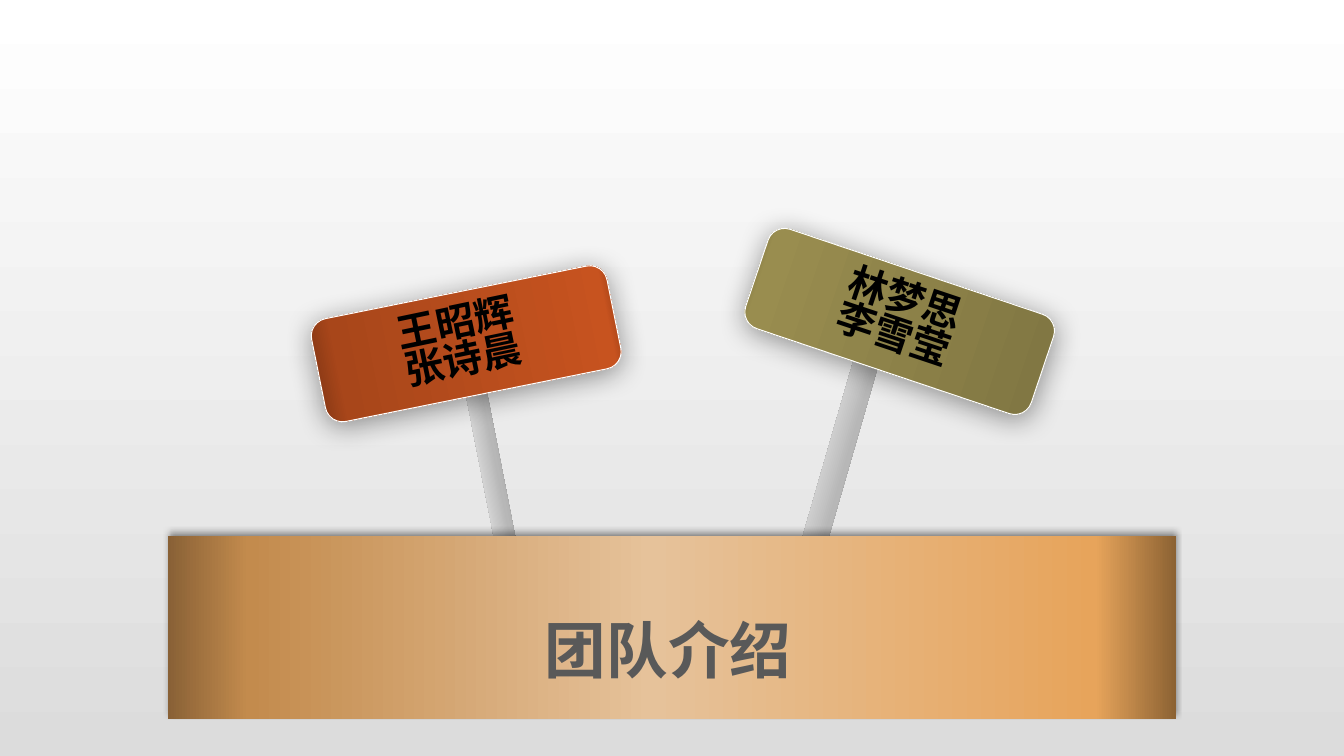
from pptx import Presentation
from pptx.dml.color import RGBColor
from pptx.enum.shapes import MSO_SHAPE
from pptx.enum.text import MSO_ANCHOR, MSO_AUTO_SIZE, PP_ALIGN
from pptx.oxml import parse_xml
from pptx.oxml.ns import nsdecls, qn
from pptx.util import Pt

ROUND, RECT = MSO_SHAPE.ROUNDED_RECTANGLE, MSO_SHAPE.RECTANGLE
TOP, CENTER = MSO_ANCHOR.TOP, PP_ALIGN.CENTER
GROW = MSO_AUTO_SIZE.SHAPE_TO_FIT_TEXT

WHITE = RGBColor(0xFF, 0xFF, 0xFF)
BLACK = RGBColor(0, 0, 0)
PALE = RGBColor(0xDC, 0xDC, 0xDC)
GRAY = RGBColor(0x59, 0x59, 0x59)


def ramp(*stops):
    """Turn (percent, hex) pairs into gradient stops."""
    return [(pos, RGBColor.from_string(tint)) for pos, tint in stops]


STEEL = ramp((0, "808080"), (45, "B7B7B7"), (62, "D9D9D9"), (100, "878787"))
RUST = ramp((0, "763112"), (12, "A8461A"), (92, "C7531F"), (100, "79300E"))
OLIVE = ramp((0, "5A542F"), (7, "817743"), (90, "998D4F"), (100, "5B532C"))
WOOD = ramp((0, "896136"), (8, "C38B4D"), (48, "E6C29A"),
            (92, "E7A45B"), (100, "8C6233"))

TITLE = "团队介绍"
TITLE_BOX = (253.4, 417.6, 447.8, 76.3)
BAR = (120, 383, 720, 130.3)
SIGN_SIZE = (215.3, 74.9)
NAME_SIZE = (106.6, 61.2)
# pole box and turn, sign corner and turn, name corner and turn
SIGNS = [
    {"names": ["王昭辉", "张诗晨"], "ramp": RUST, "angle": 0,
     "pole": ((344.9, 249.8, 15.1, 186.5), 348.9),
     "sign": ((225.4, 208.1), 348.6), "text": ((279.4, 214.6), 348.2)},
    {"names": ["林梦思", "李雪莹"], "ramp": OLIVE, "angle": 180,
     "pole": ((588.2, 228.2, 18, 209.5), 16.1),
     "sign": ((535, 192.2), 18.6), "text": ((592.6, 198.7), 18.5)},
]

deck = Presentation()
deck.slide_width, deck.slide_height = Pt(960), Pt(540)
slide = deck.slides.add_slide(deck.slide_layouts[5])
shapes = slide.shapes


def add_block(kind, box, stops, angle, turn=0):
    block = shapes.add_shape(kind, *map(Pt, box))
    block.rotation = turn
    block.shadow.inherit = False
    block.line.fill.background()
    marks = "".join(
        f'<a:gs pos="{pos * 1000}"><a:srgbClr val="{tint}"/></a:gs>'
        for pos, tint in stops)
    grad = parse_xml(
        f'<a:gradFill {nsdecls("a")} rotWithShape="1"><a:gsLst>{marks}'
        f'</a:gsLst><a:lin ang="{angle * 60000}" scaled="0"/></a:gradFill>')
    block._element.spPr.find(qn("a:prstGeom")).addnext(grad)
    return block


def add_shadow(block, blur, angle):
    block._element.spPr.find(qn("a:effectLst")).append(parse_xml(
        f'<a:outerShdw {nsdecls("a")} blurRad="{Pt(blur)}" dist="{Pt(3)}" '
        f'dir="{angle * 60000}" rotWithShape="0"><a:srgbClr val="{BLACK}">'
        '<a:alpha val="40000"/></a:srgbClr></a:outerShdw>'))


def style(frame, face, size, color, gap):
    frame.word_wrap = True
    frame.auto_size = GROW
    frame.vertical_anchor = TOP
    for para in frame.paragraphs:
        para.line_spacing = gap
        for run in para.runs:
            font = run.font
            font.name, font.size, font.bold = face, Pt(size), True
            font.color.rgb = color


back = slide.background.fill
back.gradient()
back.gradient_angle = 270
for stop, tint in zip(back.gradient_stops, (WHITE, PALE)):
    stop.color.rgb = tint

for item in SIGNS:
    box, turn = item["pole"]
    pole = add_block(ROUND, box, STEEL, 180, turn)
    pole.adjustments[0] = 0.5

for item in SIGNS:
    spot, turn = item["sign"]
    sign = add_block(ROUND, spot + SIGN_SIZE, item["ramp"], item["angle"], turn)
    sign.line.color.rgb = WHITE
    sign.line.width = Pt(0.75)
    add_shadow(sign, 20, 90)

bar = add_block(RECT, BAR, WOOD, 0)
add_shadow(bar, 4, 270)

for item in SIGNS:
    spot, turn = item["text"]
    label = shapes.add_textbox(*map(Pt, spot + NAME_SIZE))
    label.rotation = turn
    label.text_frame.text = "\n".join(item["names"])
    style(label.text_frame, "Times New Roman", 28, BLACK, 0.8)

title = shapes.title
title.left, title.top, title.width, title.height = map(Pt, TITLE_BOX)
title.text_frame.text = TITLE
style(title.text_frame, "Arial Narrow", 44, GRAY, 1.3)
title.text_frame.paragraphs[0].alignment = CENTER
bar._element.addnext(title._element)

deck.save("out.pptx")
